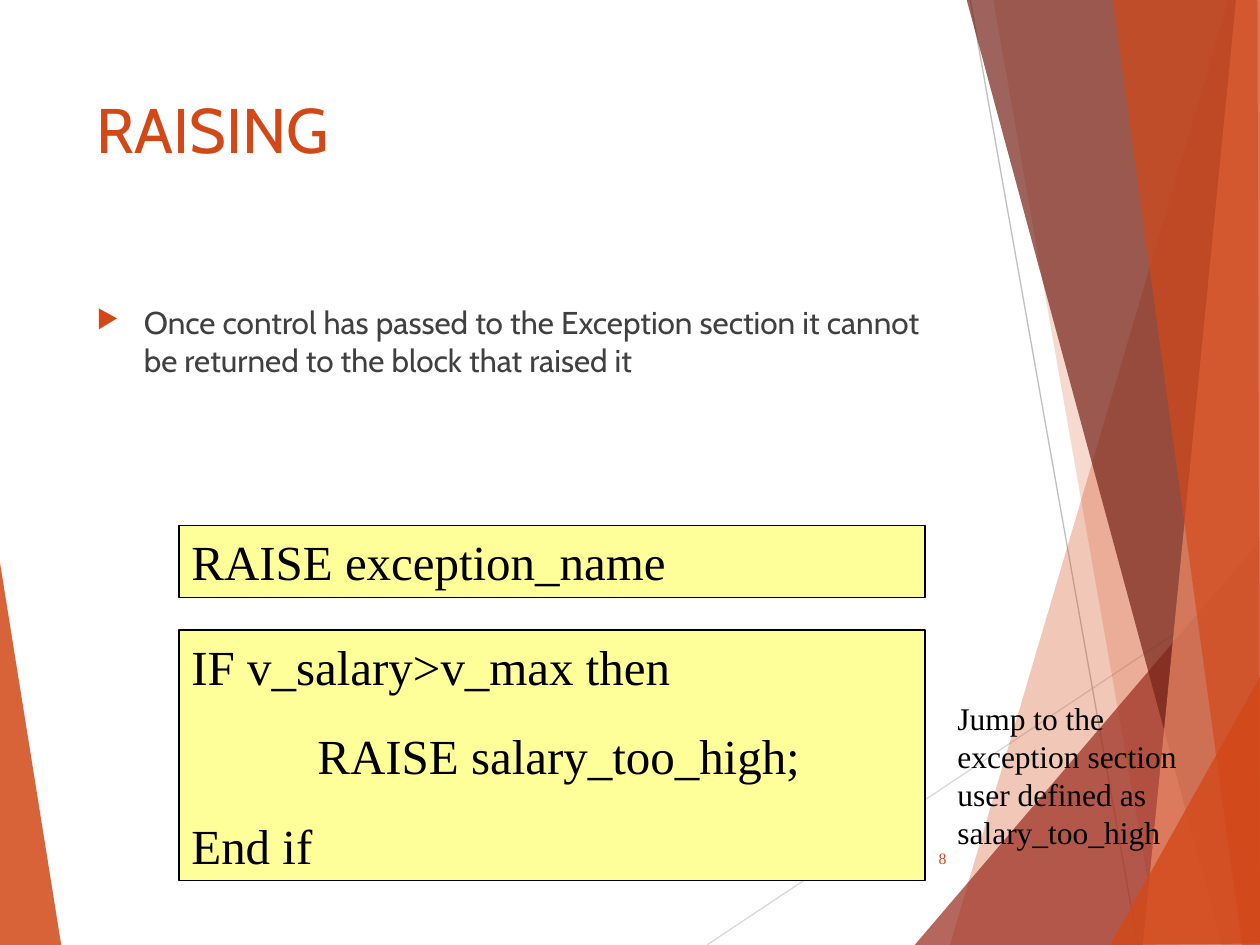
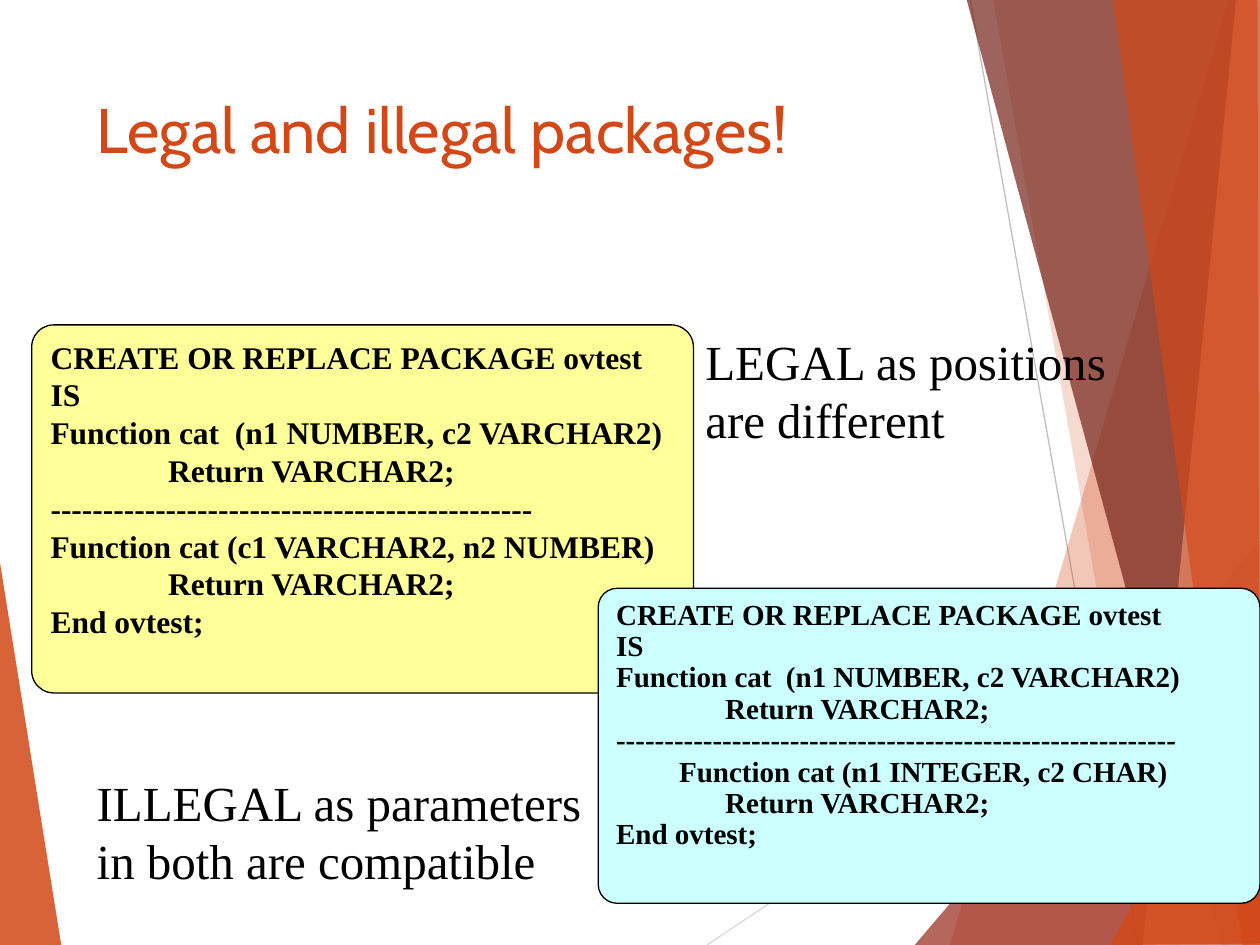
import pptx
import pptx.dml.color
import pptx.enum.shapes
import pptx.enum.text
import pptx.oxml
import pptx.oxml.ns
import pptx.oxml.xmlchemy
import pptx.util

Cm = pptx.util.Cm
Pt = pptx.util.Pt
RGBColor = pptx.dml.color.RGBColor
MSO_SHAPE = pptx.enum.shapes.MSO_SHAPE
PP_ALIGN = pptx.enum.text.PP_ALIGN
MSO_ANCHOR = pptx.enum.text.MSO_ANCHOR
OxmlElement = pptx.oxml.xmlchemy.OxmlElement
qn = pptx.oxml.ns.qn

ORANGE = RGBColor(0xD3, 0x48, 0x17)
RED = RGBColor(0x9B, 0x2D, 0x1F)
DARK_RED = RGBColor(0x74, 0x22, 0x17)
SALMON = RGBColor(0xEF, 0x8C, 0x6A)
LIGHT_GREY = RGBColor(0xD9, 0xD9, 0xD9)
GREY = RGBColor(0xBF, 0xBF, 0xBF)
DARK_GREY = RGBColor(0x40, 0x40, 0x40)
BLACK = RGBColor(0, 0, 0)
YELLOW = RGBColor(0xFF, 0xFF, 0x99)
CYAN = RGBColor(0xCC, 0xFF, 0xFF)

HEADING_FONT = "Cabin"
CODE_FONT = "Times New Roman"

# Outline points in cm, with the fill colour and its opacity in percent
LEFT_WEDGE = ([(-0.03, 11.15), (1.24, 19.08), (-0.03, 19.05)], ORANGE, 85)
RIGHT_BANDS = [
    ([(24.77, 0), (19.15, 19.05), (25.45, 19.08), (25.43, 0.03)], ORANGE, 30),
    ([(20.02, -0.03), (23.37, 19.05), (25.43, 19.05), (25.43, -0.03)], ORANGE, 20),
    ([(18.44, 19.05), (25.4, 10.9), (25.43, 19.05)], RED, 72),
    ([(19.48, -0.03), (24.64, 19.05), (25.43, 19.02), (25.43, -0.03)], DARK_RED, 70),
    ([(24.92, -0.03), (23.04, 19.05), (25.43, 19.05), (25.4, -0.03)], SALMON, 70),
    ([(22.43, -0.03), (25.04, 19.05), (25.4, 19.05), (25.35, -0.03)], ORANGE, 65),
    ([(22.38, 19.05), (25.43, 13.59), (25.43, 19.02)], ORANGE, 80),
]
THIN_LINES = [
    ((14.25, 19.05, 25.43, 11.61), LIGHT_GREY),
    ((19.56, 0, 22.94, 19.05), GREY),
]


def add_band(slide, points, color, opacity):
    corners = [(Cm(x), Cm(y)) for x, y in points]
    builder = slide.shapes.build_freeform(*corners[0])
    builder.add_line_segments(corners[1:], close=True)
    sp = builder.convert_to_shape()
    sp.shadow.inherit = False
    sp.line.fill.background()
    sp.fill.solid()
    sp.fill.fore_color.rgb = color
    alpha = OxmlElement("a:alpha")
    alpha.set("val", str(opacity * 1000))
    sp._element.spPr.find(qn("a:solidFill"))[0].append(alpha)


def add_box(slide, place, lines, size, font=CODE_FONT, color=BLACK, fill=None,
            shape=MSO_SHAPE.RECTANGLE, bold=False, before=0, spacing=1.0):
    """Add a text box, or an outlined shape if fill is given.

    A line is a text or a pair of text and left indent in cm.
    """
    place = [Cm(v) for v in place]
    if fill is None:
        sp = slide.shapes.add_textbox(*place)
    else:
        sp = slide.shapes.add_shape(shape, *place)
        sp.shadow.inherit = False
        sp.fill.solid()
        sp.fill.fore_color.rgb = fill
        sp.line.color.rgb = BLACK
        sp.line.width = Pt(0.75)
    tf = sp.text_frame
    tf.word_wrap = True
    tf.vertical_anchor = MSO_ANCHOR.TOP
    pairs = [(line, 0) if isinstance(line, str) else line for line in lines]
    tf.text = "\n".join(text for text, indent in pairs)
    for p, (text, indent) in zip(tf.paragraphs, pairs):
        p.alignment = PP_ALIGN.LEFT
        p.space_before = Pt(before)
        p.line_spacing = spacing
        if indent:
            p._p.get_or_add_pPr().set("marL", str(Cm(indent)))
        for r in p.runs:
            r.font.size = Pt(size)
            r.font.name = font
            r.font.bold = bold
            r.font.color.rgb = color
    return sp


prs = pptx.Presentation()
prs.slide_width = Cm(25.4)
prs.slide_height = Cm(19.05)

# Background bands and title of every slide
slides = []
for title in ["RAISING", "Legal and illegal packages!"]:
    slide = prs.slides.add_slide(prs.slide_layouts[6])
    add_band(slide, *LEFT_WEDGE)
    for ends, color in THIN_LINES:
        line = slide.shapes.add_connector(
            pptx.enum.shapes.MSO_CONNECTOR.STRAIGHT, *[Cm(v) for v in ends])
        line.line.color.rgb = color
        line.line.width = Pt(0.75)
        line._element.spPr.append(OxmlElement("a:effectLst"))
    for band in RIGHT_BANDS:
        add_band(slide, *band)
    add_box(slide, (1.7, 1.7, 17.63, 3.66), [title], 36, HEADING_FONT, ORANGE)
    slides.append(slide)
raising, packages = slides

# Slide 1: raising an exception
body = add_box(
    raising, (1.7, 5.99, 17.63, 10.77),
    ["Once control has passed to the Exception section it cannot be returned "
     "to the block that raised it"],
    18, HEADING_FONT, DARK_GREY, before=10)
pPr = body.text_frame.paragraphs[0]._p.get_or_add_pPr()
pPr.set("marL", str(Cm(0.95)))
pPr.set("indent", str(-Cm(0.95)))
bullet_color = OxmlElement("a:buClr")
rgb = OxmlElement("a:srgbClr")
rgb.set("val", str(ORANGE))
bullet_color.append(rgb)
bullet_size = OxmlElement("a:buSzPct")
bullet_size.set("val", "80000")
bullet_char = OxmlElement("a:buChar")
bullet_char.set("char", "▶")
for part in (bullet_color, bullet_size, bullet_char):
    pPr.append(part)

number = add_box(raising, (17.91, 16.79, 1.42, 1.02), ["8"], 9, color=ORANGE)
number.text_frame.vertical_anchor = MSO_ANCHOR.MIDDLE
number.text_frame.paragraphs[0].alignment = PP_ALIGN.RIGHT

add_box(raising, (3.61, 10.59, 15.04, 1.45), ["RAISE exception_name"], 28,
        fill=YELLOW, before=17.5)
add_box(raising, (3.61, 12.7, 15.04, 5.05),
        ["IF v_salary>v_max then", ("RAISE salary_too_high;", 2.54), "End if"],
        28, fill=YELLOW, before=17.5)
add_box(raising, (19.05, 13.97, 5.08, 3.3),
        ["Jump to the exception section user defined as salary_too_high"], 18)

# Slide 2: the two package declarations and their verdicts
package_boxes = [
    ((0.64, 6.55, 13.34, 7.42), YELLOW, 18, 1.0, 46, 2.37,
     "Function cat (c1 VARCHAR2, n2 NUMBER)"),
    ((12.06, 11.86, 13.34, 6.35), CYAN, 16.6, 0.9, 58, 2.2,
     ("Function cat (n1 INTEGER, c2 CHAR)", 1.27)),
]
verdicts = [
    ((13.97, 6.55, 8.86, 2.64), ["LEGAL as positions", "are different"]),
    ((1.7, 15.44, 10.59, 2.64), ["ILLEGAL as parameters in both are compatible"]),
]
for package, verdict in zip(package_boxes, verdicts):
    place, fill, size, spacing, dashes, indent, second_function = package
    returned = ("Return VARCHAR2;", indent)
    code = ["CREATE OR REPLACE PACKAGE ovtest", "IS",
            "Function cat  (n1 NUMBER, c2 VARCHAR2)", returned,
            "-" * dashes, second_function, returned, "End ovtest;"]
    sp = add_box(packages, place, code, size, fill=fill, bold=True,
                 shape=MSO_SHAPE.ROUNDED_RECTANGLE, spacing=spacing)
    sp.adjustments[0] = 0.06
    add_box(packages, *verdict, 28)

prs.save("out.pptx")
